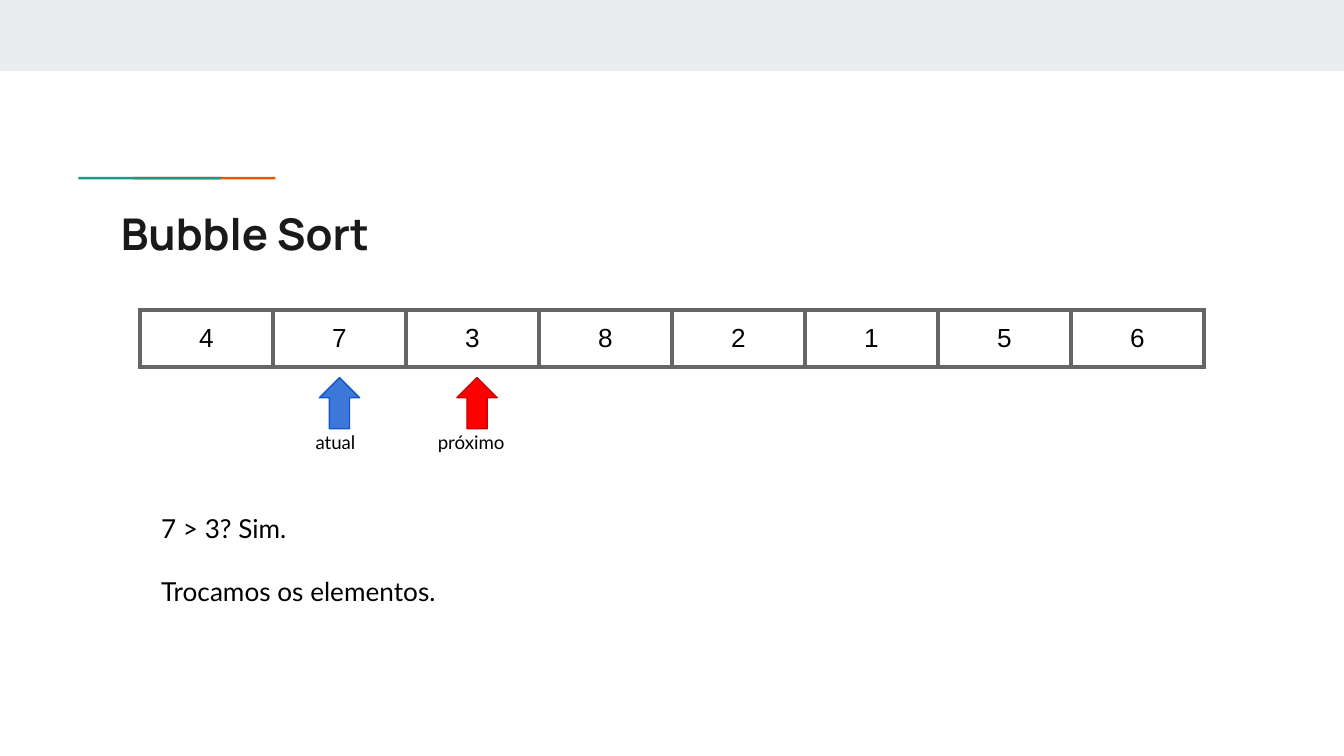
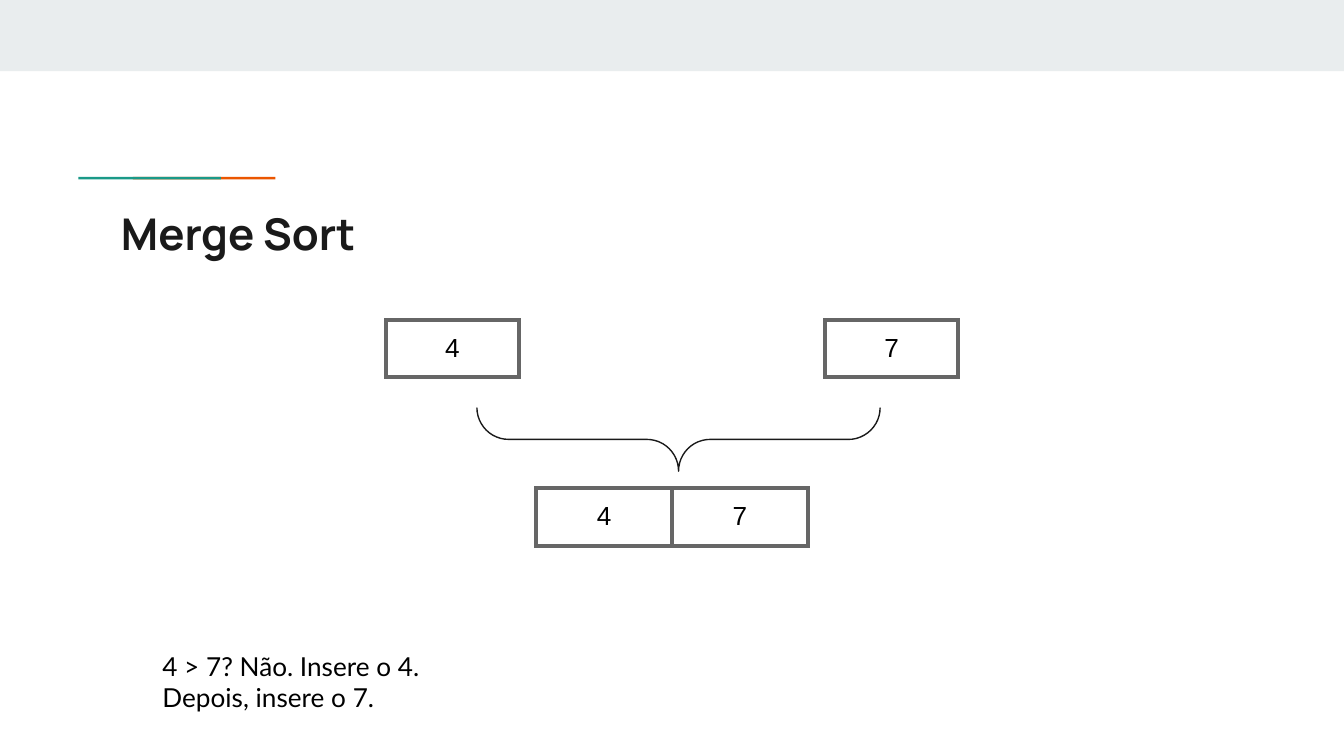
from typing import NamedTuple

from lxml import etree
from pptx import Presentation
from pptx import util as u
from pptx.dml.color import RGBColor
from pptx.enum import shapes, text
from pptx.oxml import ns

# Shared look
INK, BLACK, GREY = "1A1A1A", "000000", "666666"
BAND, TEAL, ORANGE = "E9EDEE", "1A9988", "EB5600"
TITLE_FONT, BODY_FONT, CELL_FONT = "Manrope", "Lato", "Arial"
WIDTH, HEIGHT = 720, 405
INSET = 7.2
CELL_W = 71.25
ROW_H = 30.5
BORDER_W = 2.25
TITLE_ONLY = 5


class Box(NamedTuple):
    left: float
    top: float
    width: float
    height: float

    def lengths(self) -> list:
        return [u.Pt(v) for v in self]


class Array(NamedTuple):
    left: float
    top: float
    values: list[int]
    cell_w: float = CELL_W
    row_h: float = ROW_H


class Marker(NamedTuple):
    label: str
    arrow: Box
    label_box: Box
    fill: str
    line: str


# Drawing helpers
def rgb(code: str) -> RGBColor:
    return RGBColor.from_string(code)


def set_font(p, name: str, size: float, color: str = BLACK, bold: bool = False) -> None:
    f = p.font
    f.name, f.size, f.bold = name, u.Pt(size), bold
    f.color.rgb = rgb(color)


def set_insets(obj) -> None:
    obj.margin_left = obj.margin_right = u.Pt(INSET)
    obj.margin_top = obj.margin_bottom = u.Pt(INSET)


def add_shape(parent, kind, box: Box, fill: str | None = None, line: str | None = None):
    sp = parent.add_shape(kind, *box.lengths())
    sp.shadow.inherit = False
    if fill:
        sp.fill.solid()
        sp.fill.fore_color.rgb = rgb(fill)
    else:
        sp.fill.background()
    if line:
        sp.line.color.rgb = rgb(line)
        sp.line.width = u.Pt(0.75)
    else:
        sp.line.fill.background()
    return sp


def add_text(parent, box: Box, lines: list[str], size: float, gap: float = 0) -> None:
    tf = parent.add_textbox(*box.lengths()).text_frame
    tf.word_wrap = True
    set_insets(tf)
    for i, line in enumerate(lines):
        p = tf.add_paragraph() if i else tf.paragraphs[0]
        p.text = line
        if i:
            p.space_before = u.Pt(gap)
        set_font(p, BODY_FONT, size)


def set_borders(cell) -> None:
    tc_pr = cell._tc.get_or_add_tcPr()
    for i, side in enumerate(("a:lnL", "a:lnR", "a:lnT", "a:lnB")):
        ln = etree.Element(ns.qn(side), w=str(u.Pt(BORDER_W)))
        fill = etree.SubElement(ln, ns.qn("a:solidFill"))
        etree.SubElement(fill, ns.qn("a:srgbClr"), val=GREY)
        tc_pr.insert(i, ln)


def add_array(sl, array: Array) -> None:
    n = len(array.values)
    box = Box(array.left, array.top, n * array.cell_w, array.row_h)
    table = sl.shapes.add_table(1, n, *box.lengths()).table
    table.first_row = table.horz_banding = False
    for col, value in enumerate(array.values):
        table.columns[col].width = u.Pt(array.cell_w)
        cell = table.cell(0, col)
        cell.fill.background()
        set_insets(cell)
        set_borders(cell)
        p = cell.text_frame.paragraphs[0]
        p.text = str(value)
        p.alignment = text.PP_ALIGN.CENTER
        set_font(p, CELL_FONT, 14)


def add_marker(sl, marker: Marker) -> None:
    group = sl.shapes.add_group_shape().shapes
    add_shape(group, shapes.MSO_SHAPE.UP_ARROW, marker.arrow, marker.fill, marker.line)
    add_text(group, marker.label_box, [marker.label], 10)


def add_slide(prs, title: str):
    sl = prs.slides.add_slide(prs.slide_layouts[TITLE_ONLY])
    # Top band and two-colour rule
    rect = shapes.MSO_SHAPE.RECTANGLE
    add_shape(sl.shapes, rect, Box(0, 0, WIDTH, 38.2), BAND)
    for left, color in ((71.2, ORANGE), (42, TEAL)):
        add_shape(sl.shapes, rect, Box(left, 94.7, 76.3, 1.4), color)
    # Title
    sp = sl.shapes.title
    sp.left, sp.top, sp.width, sp.height = Box(57.6, 103.7, 605.5, 42.5).lengths()
    tf = sp.text_frame
    set_insets(tf)
    tf.auto_size = text.MSO_AUTO_SIZE.NONE
    tf.vertical_anchor = text.MSO_ANCHOR.MIDDLE
    p = tf.paragraphs[0]
    p.text = title
    p.alignment = text.PP_ALIGN.LEFT
    set_font(p, TITLE_FONT, 23.4, INK, bold=True)
    return sl


# Slides
def bubble_sort(prs) -> None:
    sl = add_slide(prs, "Bubble Sort")
    add_array(sl, Array(75, 166.2, [4, 7, 3, 8, 2, 1, 5, 6]))
    add_text(sl.shapes, Box(79.2, 267.1, 562.3, 65.5),
             ["7 > 3? Sim.", "Trocamos os elementos."], 14, gap=17)
    markers = [
        Marker("atual", Box(171.1, 202.3, 21.6, 27.4),
               Box(162, 224.6, 40.3, 26.6), "3C78D8", "1155CC"),
        Marker("próximo", Box(244.8, 202.3, 21.6, 27.4),
               Box(227.5, 224.6, 55.4, 26.6), "FF0000", "CC0000"),
    ]
    for marker in markers:
        add_marker(sl, marker)


def merge_sort(prs) -> None:
    sl = add_slide(prs, "Merge Sort")
    for array in (Array(206.8, 171.4, [4]), Array(442, 171.4, [7]),
                  Array(287.2, 261.4, [4, 7], 72.8, 31)):
        add_array(sl, array)
    add_text(sl.shapes, Box(79.9, 341.3, 562.3, 48.2),
             ["4 > 7? Não. Insere o 4.", "Depois, insere o 7."], 14)
    # Brace joining the two halves
    brace = add_shape(sl.shapes, shapes.MSO_SHAPE.RIGHT_BRACE,
                      Box(346.5, 127.4, 34, 216), line=INK)
    brace.rotation = 90
    brace.adjustments[0] = brace.adjustments[1] = 0.5


def main() -> None:
    prs = Presentation()
    prs.slide_width, prs.slide_height = u.Pt(WIDTH), u.Pt(HEIGHT)
    bubble_sort(prs)
    merge_sort(prs)
    prs.save("out.pptx")


if __name__ == "__main__":
    main()
